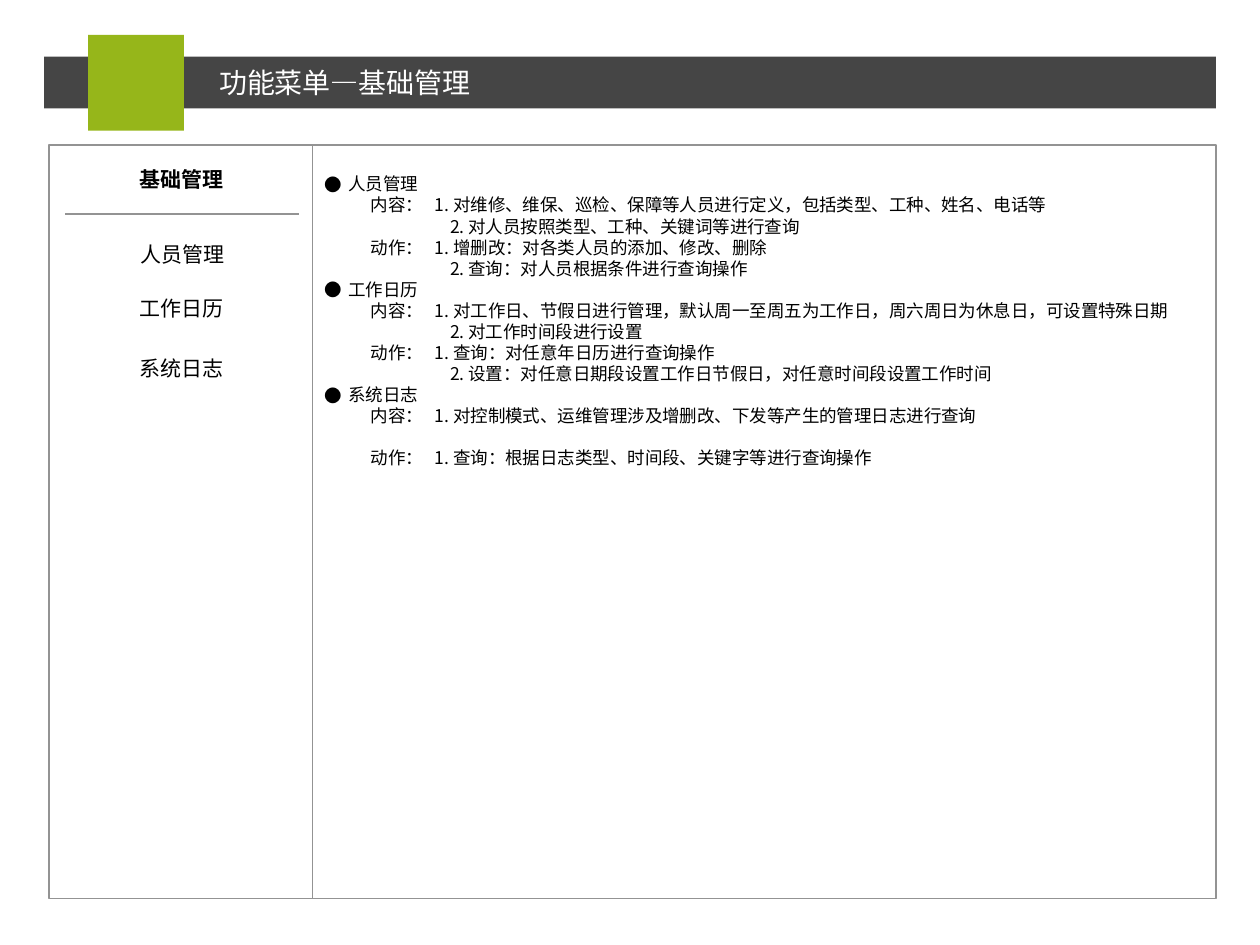
import pptx
import pptx.dml.color
import pptx.enum.shapes
import pptx.enum.text
import pptx.oxml
import pptx.oxml.ns
import pptx.util
import lxml.etree

Pt = pptx.util.Pt
qn = pptx.oxml.ns.qn
Align = pptx.enum.text.PP_ALIGN
Anchor = pptx.enum.text.MSO_ANCHOR


def colour(value):
    return pptx.dml.color.RGBColor.from_string(value)


class SlideBuilder:
    font = "Noto Sans CJK SC"
    ink = "000000"
    rule = "939393"
    paper = "FFFFFF"
    line_height = 12.05

    def __init__(self, deck):
        self.page = deck.slides.add_slide(deck.slide_layouts[5])

    def span(self, para, text, size, shade=None, bold=False):
        span = para.add_run()
        span.text = text
        span.font.size = Pt(size)
        span.font.bold = bold
        span.font.color.rgb = colour(shade or self.ink)
        span.font.name = self.font
        lxml.etree.SubElement(span.font._element, qn("a:ea"), typeface=self.font)

    def title(self, text, left, top, width, height):
        box = self.page.shapes.title
        self.page.shapes._spTree.append(box._element)
        box.left, box.top, box.width, box.height = map(Pt, (left, top, width, height))
        frame = box.text_frame
        frame.auto_size = pptx.enum.text.MSO_AUTO_SIZE.NONE
        frame.vertical_anchor = Anchor.MIDDLE
        frame.margin_top = frame.margin_bottom = 0
        para = frame.paragraphs[0]
        para.alignment = Align.LEFT
        self.span(para, text, 16, self.paper)

    def rectangle(self, left, top, width, height, fill=None, line=None):
        box = self.page.shapes.add_shape(
            pptx.enum.shapes.MSO_SHAPE.RECTANGLE, *map(Pt, (left, top, width, height)))
        box.shadow.inherit = False
        if fill:
            box.fill.solid()
            box.fill.fore_color.rgb = colour(fill)
        else:
            box.fill.background()
        if line:
            box.line.color.rgb = colour(line)
            box.line.width = Pt(1)
        else:
            box.line.fill.background()
        return box

    def menu_item(self, text, left, top, bold=False):
        box = self.rectangle(left, top, 132.5, 28, fill=self.paper)
        frame = box.text_frame
        frame.word_wrap = True
        frame.vertical_anchor = Anchor.MIDDLE
        para = frame.paragraphs[0]
        para.alignment = Align.CENTER
        self.span(para, text, 12, bold=bold)

    def divider(self, left, right, top):
        line = self.page.shapes.add_connector(
            pptx.enum.shapes.MSO_CONNECTOR.STRAIGHT, Pt(left), Pt(top), Pt(right), Pt(top))
        line.line.color.rgb = colour(self.rule)
        line.line.width = Pt(1)
        lxml.etree.SubElement(line._element.spPr, qn("a:effectLst"))

    def paragraph(self, frame, text, margin, indent=0, bullet=None, before=0):
        para = frame.add_paragraph() if frame.paragraphs[0].runs else frame.paragraphs[0]
        para.alignment = Align.LEFT
        para.line_spacing = Pt(self.line_height)
        para.space_before = Pt(before)
        properties = para._element.get_or_add_pPr()
        properties.set("marL", str(Pt(margin)))
        properties.set("indent", str(Pt(indent)))
        if bullet:
            lxml.etree.SubElement(properties, qn("a:buFont"), typeface=self.font)
            lxml.etree.SubElement(properties, qn("a:buChar"), char=bullet)
        self.span(para, text, 10)

    def details(self, box, sections):
        frame = box.text_frame
        frame.word_wrap = True
        frame.vertical_anchor = Anchor.TOP
        frame.margin_top = Pt(16.2)
        for heading, groups in sections:
            self.paragraph(frame, heading, 13.5, -13.5, bullet="●")
            gap = 0
            for label, items in groups:
                first, *others = items
                self.paragraph(frame, f"{label}：\t1. {first}", 62.8, -36.6, before=gap)
                for number, item in enumerate(others, 2):
                    self.paragraph(frame, f"{number}. {item}", 71.5)
                gap = 0 if others else self.line_height


SECTIONS = [
    ("人员管理", [
        ("内容", ["对维修、维保、巡检、保障等人员进行定义，包括类型、工种、姓名、电话等",
                "对人员按照类型、工种、关键词等进行查询"]),
        ("动作", ["增删改：对各类人员的添加、修改、删除",
                "查询：对人员根据条件进行查询操作"]),
    ]),
    ("工作日历", [
        ("内容", ["对工作日、节假日进行管理，默认周一至周五为工作日，周六周日为休息日，可设置特殊日期",
                "对工作时间段进行设置"]),
        ("动作", ["查询：对任意年日历进行查询操作",
                "设置：对任意日期段设置工作日节假日，对任意时间段设置工作时间"]),
    ]),
    ("系统日志", [
        ("内容", ["对控制模式、运维管理涉及增删改、下发等产生的管理日志进行查询"]),
        ("动作", ["查询：根据日志类型、时间段、关键字等进行查询操作"]),
    ]),
]


def main():
    deck = pptx.Presentation()
    deck.slide_width, deck.slide_height = Pt(720), Pt(540)
    builder = SlideBuilder(deck)

    builder.rectangle(25.2, 32.4, 669.6, 29.5, fill="454545")
    builder.rectangle(50.4, 20, 54.7, 54.7, fill="96B61A")
    builder.title("功能菜单—基础管理", 118, 36.7, 495.4, 20.9)

    panel_top, panel_height, split = 82.8, 430.6, 178.6
    builder.rectangle(28.1, panel_top, split - 28.1, panel_height, line=builder.rule)
    content = builder.rectangle(split, panel_top, 694.8 - split, panel_height, line=builder.rule)
    builder.details(content, SECTIONS)

    builder.menu_item("基础管理", 37.4, 88.6, bold=True)
    builder.divider(37.4, 170.6, 122.4)
    places = [(38.2, 131), (37.4, 162), (37.4, 196.6)]
    for (name, _), (left, top) in zip(SECTIONS, places):
        builder.menu_item(name, left, top)

    deck.save("out.pptx")


if __name__ == "__main__":
    main()
